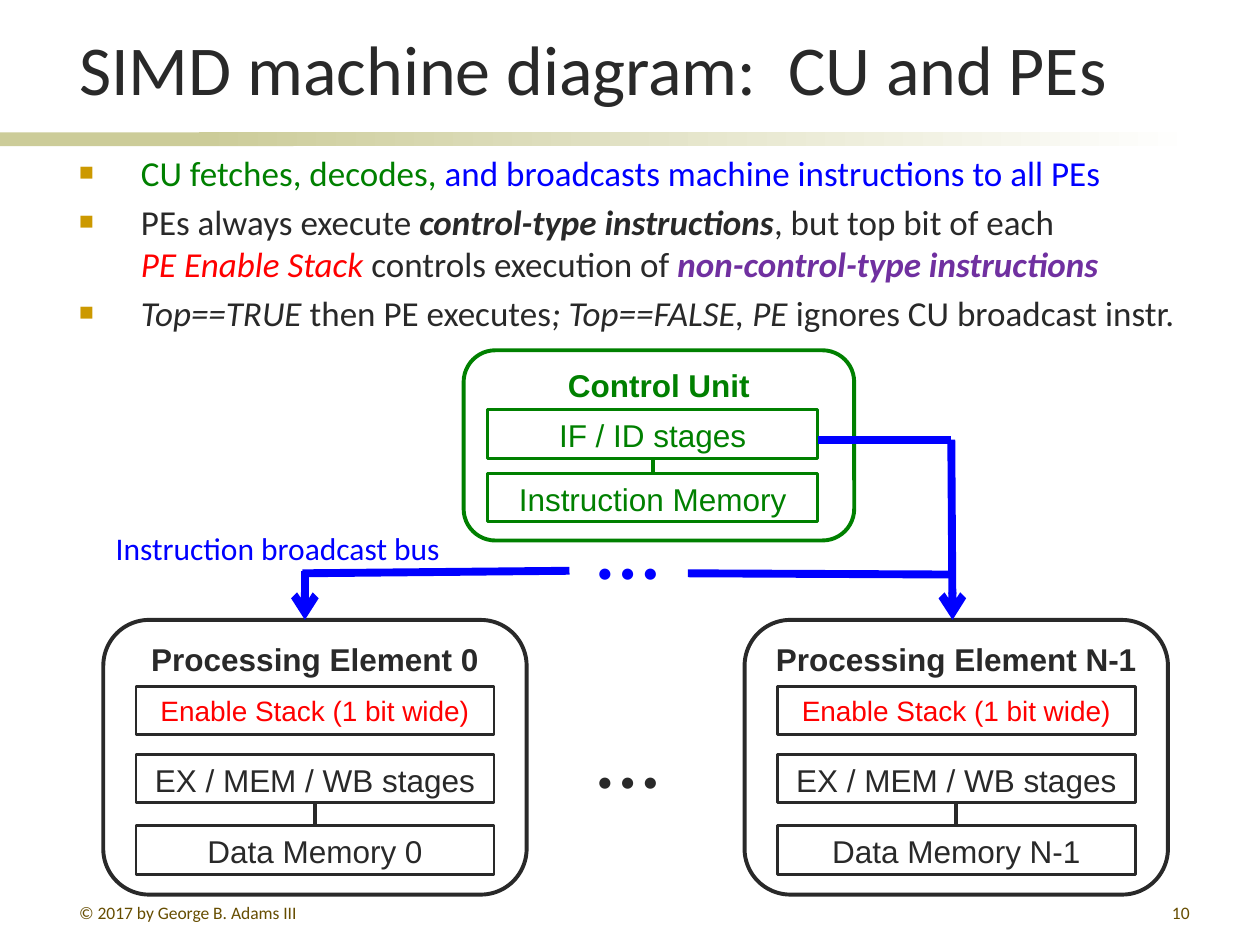
"""Builds a slide that shows the control unit and processing elements of a SIMD machine."""
from lxml import etree
from pptx import Presentation
from pptx import util as u
from pptx.dml import color
from pptx.enum import shapes, text
from pptx.oxml import ns

COLORS = {
    "ink": "292929", "green": "008000", "blue": "0000FF", "red": "FF0000",
    "purple": "7030A0", "gold": "CC9900", "footer": "664D00",
    "band": "CCCC99", "white": "FFFFFF",
}


def rgb(name):
    return color.RGBColor.from_string(COLORS[name])


def add_xml(parent, tag, **attributes):
    return etree.SubElement(parent, ns.qn(tag), attributes)


class Diagram:
    """Holds the current slide and its style, and draws each kind of element."""

    def __init__(self, slide):
        self.slide = slide

    def add_runs(self, paragraph, runs, size, font):
        for content, name, style in runs:
            for index, line in enumerate(content.split("\n")):
                if index:
                    paragraph.add_line_break()
                run = paragraph.add_run()
                run.text = line
                run.font.name, run.font.size = font, u.Pt(size)
                run.font.bold, run.font.italic = "b" in style, "i" in style
                run.font.color.rgb = rgb(name)

    def label(self, at, content, name="ink", size=18, align=text.PP_ALIGN.LEFT,
              anchor=text.MSO_ANCHOR.TOP, wrap=True):
        shape = self.slide.shapes.add_textbox(*map(u.Inches, at))
        frame = shape.text_frame
        frame.word_wrap, frame.vertical_anchor = wrap, anchor
        frame.paragraphs[0].alignment = align
        self.add_runs(frame.paragraphs[0], [(content, name, "")], size, "Calibri")

    def bullets(self, at, items, size=20, indent=0.49):
        frame = self.slide.shapes.add_textbox(*map(u.Inches, at)).text_frame
        frame.word_wrap = True
        for index, runs in enumerate(items):
            paragraph = frame.add_paragraph() if index else frame.paragraphs[0]
            paragraph.space_before = u.Pt(size * 0.2)
            properties = paragraph._p.get_or_add_pPr()
            properties.set("marL", str(u.Inches(indent)))
            properties.set("indent", str(-u.Inches(indent)))
            add_xml(add_xml(properties, "a:buClr"), "a:srgbClr", val=COLORS["gold"])
            add_xml(properties, "a:buSzPct", val="70000")
            add_xml(properties, "a:buFont", typeface="Arial")
            add_xml(properties, "a:buChar", char="■")
            self.add_runs(paragraph, runs, size, "Calibri")

    def band(self, at, fade=False):
        shape = self.slide.shapes.add_shape(shapes.MSO_SHAPE.RECTANGLE, *map(u.Inches, at))
        shape.shadow.inherit = False
        shape.line.fill.background()
        if fade:
            shape.fill.gradient()
            shape.fill.gradient_angle = 0
            for stop, name in zip(shape.fill.gradient_stops, ("band", "white")):
                stop.color.rgb = rgb(name)
        else:
            shape.fill.solid()
            shape.fill.fore_color.rgb = rgb("band")

    def box(self, at, content, name="ink", line="ink", size=18, outer=False,
            anchor=text.MSO_ANCHOR.TOP):
        kind = shapes.MSO_SHAPE.ROUNDED_RECTANGLE if outer else shapes.MSO_SHAPE.RECTANGLE
        shape = self.slide.shapes.add_shape(kind, *map(u.Inches, at))
        shape.shadow.inherit = False
        shape.fill.background()
        shape.line.color.rgb = rgb(line)
        shape.line.width = u.Pt(2.25 if outer else 1.5)
        frame = shape.text_frame
        frame.word_wrap, frame.vertical_anchor = True, anchor
        frame.paragraphs[0].alignment = text.PP_ALIGN.CENTER
        self.add_runs(frame.paragraphs[0], [(content, name, "b" if outer else "")], size, "Arial")

    def line(self, start, end, name="blue", width=4.5, arrow=False):
        connector = self.slide.shapes.add_connector(
            shapes.MSO_CONNECTOR.STRAIGHT, *map(u.Inches, (*start, *end)))
        connector.line.color.rgb = rgb(name)
        connector.line.width = u.Pt(width)
        if arrow:
            add_xml(connector.line._get_or_add_ln(), "a:tailEnd", type="arrow")
        add_xml(connector._element.spPr, "a:effectLst")

    def processing_element(self, left, number):
        inner, width = left + 0.26, 2.84
        middle = inner + width / 2
        self.box((left, 4.92, 3.36, 2.18), f"Processing Element {number}", outer=True)
        self.box((inner, 5.45, width, 0.38), "Enable Stack (1 bit wide)", "red", size=16,
                 anchor=text.MSO_ANCHOR.MIDDLE)
        self.box((inner, 5.99, width, 0.38), "EX / MEM / WB stages")
        self.box((inner, 6.55, width, 0.39), f"Data Memory {number}")
        self.line((middle, 6.37), (middle, 6.55), "ink", 2.25)

    def control_unit(self):
        self.box((3.68, 2.78, 3.1, 1.51), "Control Unit", "green", "green", outer=True)
        self.box((3.87, 3.25, 2.62, 0.39), "IF / ID stages", "green", "green")
        self.box((3.87, 3.76, 2.62, 0.38), "Instruction Memory", "green", "green")
        self.line((5.18, 3.64), (5.18, 3.76), "green", 2.25)

    def broadcast_bus(self):
        self.line((6.49, 3.49), (7.55, 3.49))
        self.line((7.55, 3.49), (7.56, 4.92), arrow=True)
        self.line((5.46, 4.55), (7.56, 4.56))
        self.line((2.4, 4.55), (4.52, 4.53))
        self.line((2.42, 4.53), (2.42, 4.92), arrow=True)
        self.label((0.82, 4.15, 2.81, 0.4), "Instruction broadcast bus", "blue", wrap=False)


presentation = Presentation()
presentation.slide_width, presentation.slide_height = u.Inches(10), u.Inches(7.5)
diagram = Diagram(presentation.slides.add_slide(presentation.slide_layouts[6]))

diagram.band((0, 1.05, 2.33, 0.11))
diagram.band((1.58, 1.05, 7.92, 0.11), fade=True)
diagram.label((0.53, 0.11, 9.01, 0.81), "SIMD machine diagram:  CU and PEs", size=40,
              anchor=text.MSO_ANCHOR.BOTTOM)
diagram.bullets((0.53, 1.15, 9.12, 1.6), [
    [("CU fetches, decodes,", "green", ""),
     (" and broadcasts machine instructions to all PEs", "blue", "")],
    [("PEs always execute ", "ink", ""), ("control-type instructions", "ink", "bi"),
     (", but top bit of each\n", "ink", ""), ("PE Enable Stack ", "red", "i"),
     ("controls execution of ", "ink", ""),
     ("non-control-type instructions", "purple", "bi")],
    [("Top==TRUE ", "ink", "i"), ("then PE executes", "ink", ""),
     ("; Top==FALSE, PE ", "ink", "i"), ("ignores CU broadcast instr.", "ink", "")],
])
diagram.label((0.53, 7.11, 2.17, 0.21), "© 2017 by George B. Adams III", "footer", 10)
diagram.label((7.46, 7.11, 2.08, 0.21), "10", "footer", 10, text.PP_ALIGN.RIGHT)

diagram.control_unit()
for left, number in ((0.82, "0"), (5.91, "N-1")):
    diagram.processing_element(left, number)
diagram.broadcast_bus()
for top, name in ((4.33, "blue"), (5.99, "ink")):
    diagram.label((4.64, top, 0.69, 0.4), "• • •", name, wrap=False)

presentation.save("out.pptx")
